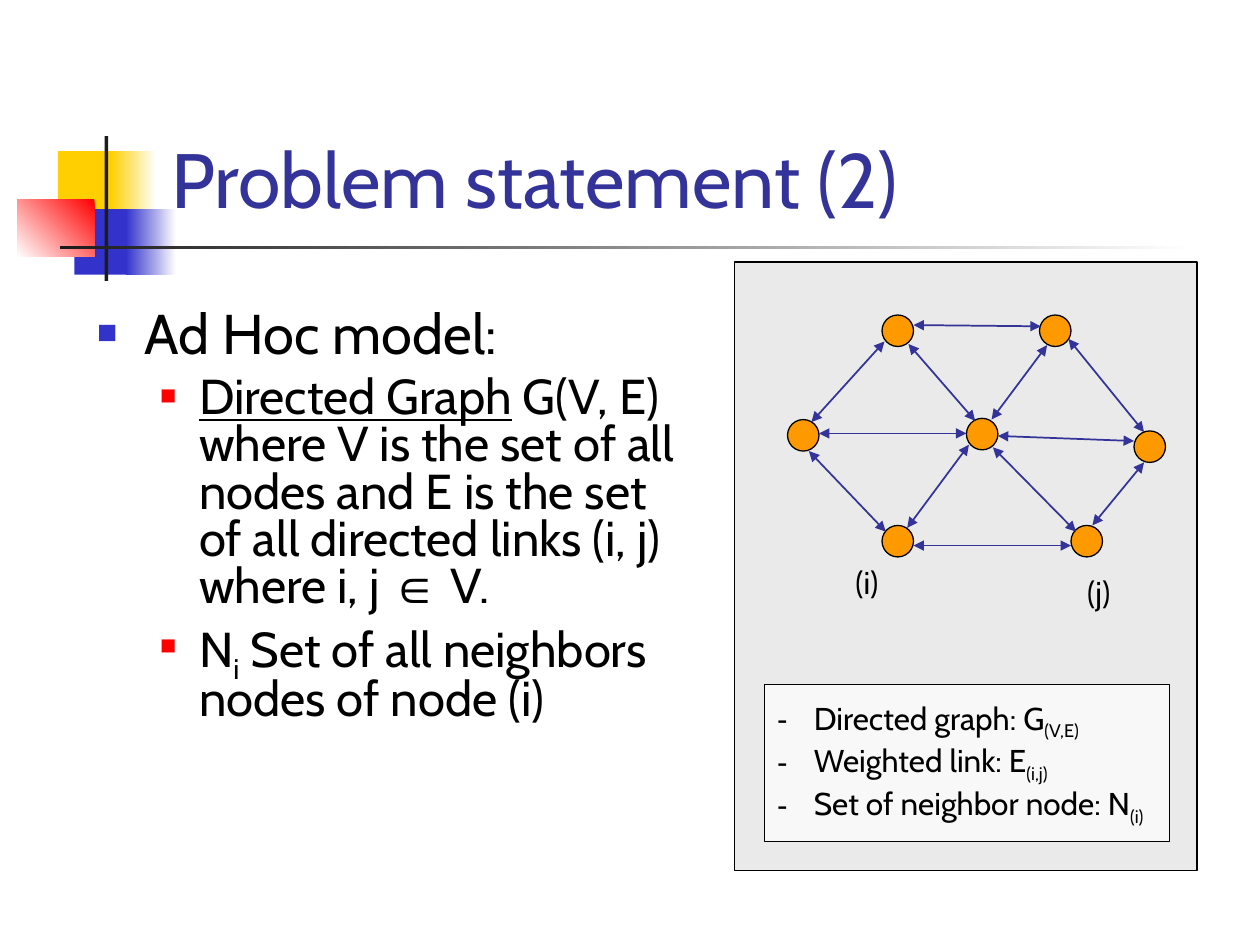
from lxml import etree
from pptx import Presentation
from pptx.dml.color import RGBColor
from pptx.enum.shapes import MSO_CONNECTOR, MSO_SHAPE
from pptx.enum.text import MSO_ANCHOR, MSO_AUTO_SIZE, PP_ALIGN
from pptx.oxml.ns import qn
from pptx.util import Inches, Pt

RECT = MSO_SHAPE.RECTANGLE
OVAL = MSO_SHAPE.OVAL
STRAIGHT = MSO_CONNECTOR.STRAIGHT
LEFT = PP_ALIGN.LEFT
TOP, MIDDLE, BOTTOM = MSO_ANCHOR.TOP, MSO_ANCHOR.MIDDLE, MSO_ANCHOR.BOTTOM
FIXED = MSO_AUTO_SIZE.NONE

FONT = "Cabin"
BLACK, WHITE, DARK = "000000", "FFFFFF", "1C1C1C"
YELLOW, BLUE, RED = "FFCF01", "3333CC", "FF0000"
NAVY, ORANGE = "333399", "FF9900"
NODE_SIZE = 0.25


def rgb(value):
    return RGBColor.from_string(value)


class SlideBuilder:
    def __init__(self, slide):
        self.s = slide

    def shape(self, kind, x, y, w, h, fill, line=None, angle=0):
        sp = self.s.shapes.add_shape(kind, Inches(x), Inches(y), Inches(w), Inches(h))
        sp.shadow.inherit = False
        if isinstance(fill, tuple):
            sp.fill.gradient()
            sp.fill.gradient_angle = angle
            for stop, color in zip(sp.fill.gradient_stops, fill):
                stop.color.rgb = rgb(color)
        else:
            sp.fill.solid()
            sp.fill.fore_color.rgb = rgb(fill)
        if line:
            sp.line.color.rgb = rgb(line)
            sp.line.width = Pt(0.75)
        else:
            sp.line.fill.background()
        return sp

    def link(self, x1, y1, x2, y2):
        c = self.s.shapes.add_connector(
            STRAIGHT, Inches(x1), Inches(y1), Inches(x2), Inches(y2))
        c.line.color.rgb = rgb(NAVY)
        c.line.width = Pt(1)
        ln = c.line._get_or_add_ln()
        for end in ("a:headEnd", "a:tailEnd"):
            etree.SubElement(ln, qn(end)).set("type", "triangle")
        etree.SubElement(c._element.spPr, qn("a:effectLst"))

    def frame(self, sp, anchor, wrap=True):
        tf = sp.text_frame
        tf.word_wrap = wrap
        tf.auto_size = FIXED
        tf.vertical_anchor = anchor
        return tf

    def place(self, sp, x, y, w, h):
        sp.left, sp.top, sp.width, sp.height = map(Inches, (x, y, w, h))

    def runs(self, p, parts, size, color=BLACK):
        p.alignment = LEFT
        for text, style in parts:
            r = p.add_run()
            r.text = text
            r.font.name = "Arial" if style == "symbol" else FONT
            r.font.size = Pt(size)
            r.font.color.rgb = rgb(color)
            if style == "underline":
                r.font.underline = True
            if style == "sub":
                r._r.get_or_add_rPr().set("baseline", "-25000")

    def bullet(self, p, char, color, percent, margin, hang):
        pPr = p._p.get_or_add_pPr()
        pPr.set("marL", str(Inches(margin)))
        pPr.set("indent", str(-Inches(hang)))
        clr = etree.SubElement(pPr, qn("a:buClr"))
        etree.SubElement(clr, qn("a:srgbClr")).set("val", color)
        etree.SubElement(pPr, qn("a:buSzPct")).set("val", str(percent * 1000))
        etree.SubElement(pPr, qn("a:buFont")).set("typeface", "Arial")
        etree.SubElement(pPr, qn("a:buChar")).set("char", char)

    def title(self, text, *box):
        sp = self.s.shapes.title
        self.place(sp, *box)
        tf = self.frame(sp, BOTTOM)
        self.runs(tf.paragraphs[0], [(text, "")], 44, NAVY)

    def body(self, items, *box):
        sp = self.s.placeholders[1]
        self.place(sp, *box)
        tf = self.frame(sp, TOP)
        for i, (level, parts) in enumerate(items):
            p = tf.paragraphs[0] if i == 0 else tf.add_paragraph()
            p.level = level
            if level == 0:
                self.bullet(p, "■", BLUE, 60, 0.38, 0.38)
            else:
                self.bullet(p, "■", RED, 55, 0.81, 0.31)
            p.line_spacing = 0.8
            p.space_before = Pt(7 if i else 0)
            self.runs(p, parts, 28 if level else 32)

    def label(self, text, x, y):
        sp = self.s.shapes.add_textbox(Inches(x), Inches(y), Inches(0.41), Inches(0.4))
        tf = self.frame(sp, TOP, wrap=False)
        self.runs(tf.paragraphs[0], [(text, "")], 18)

    def legend(self, entries, *box):
        tf = self.frame(self.shape(RECT, *box, "F8F8F8", BLACK), MIDDLE, wrap=False)
        for i, (text, index) in enumerate(entries):
            p = tf.paragraphs[0] if i == 0 else tf.add_paragraph()
            self.bullet(p, "-", BLACK, 100, 0.29, 0.29)
            self.runs(p, [(text, ""), (index, "sub")], 18)


def main():
    prs = Presentation()
    prs.slide_width, prs.slide_height = Inches(10), Inches(7.5)
    b = SlideBuilder(prs.slides.add_slide(prs.slide_layouts[1]))

    b.shape(RECT, 0.46, 1.2, 0.48, 0.52, YELLOW)
    b.shape(RECT, 0.88, 1.2, 0.36, 0.52, (WHITE, YELLOW), angle=180)
    b.shape(RECT, 0.59, 1.66, 0.46, 0.52, BLUE)
    b.shape(RECT, 1, 1.66, 0.4, 0.52, (WHITE, BLUE), angle=180)
    b.shape(RECT, 0.14, 1.58, 0.61, 0.46, (RED, WHITE), angle=225)
    b.shape(RECT, 0.83, 1.08, 0.03, 1.15, DARK)
    b.shape(RECT, 0.48, 1.95, 9, 0.03, (WHITE, DARK), angle=180)
    b.shape(RECT, 5.83, 2.08, 3.67, 4.83, "EAEAEA", BLACK)

    b.title("Problem statement (2)", 1.26, 0.23, 8.52, 1.6)
    b.body([
        (0, [("Ad Hoc model:", "")]),
        (1, [("Directed Graph", "underline"),
             (" G(V, E) where V is the set of all nodes and E is the set "
              "of all directed links (i, j) where i, j ", ""),
             ("∈", "symbol"), (" V.", "")]),
        (1, [("N", ""), ("i", "sub"),
             (" Set of all neighbors nodes of node (i)", "")]),
    ], 0.67, 2.42, 4.83, 4.5)

    nodes = [(6.25, 3.33), (7, 4.17), (7, 2.5), (7.67, 3.32),
             (8.25, 2.5), (8.5, 4.17), (9, 3.42)]
    for x, y in nodes:
        b.shape(OVAL, x, y, NODE_SIZE, NODE_SIZE, ORANGE, BLACK)

    links = [
        (6.44, 3.35, 7.02, 2.71), (6.42, 3.58, 7.03, 4.22),
        (7.25, 4.33, 8.5, 4.33), (8.67, 4.17, 9.08, 3.67),
        (8.48, 2.69, 9.08, 3.43), (7.25, 2.58, 8.26, 2.59),
        (7.21, 2.73, 7.74, 3.34), (6.5, 3.44, 7.67, 3.44),
        (7.2, 4.19, 7.69, 3.53), (7.88, 3.55, 8.54, 4.22),
        (7.92, 3.46, 9, 3.5), (7.87, 3.33, 8.31, 2.74),
    ]
    for ends in links:
        b.link(*ends)

    b.label("(i)", 6.69, 4.42)
    b.label("(j)", 8.53, 4.5)
    b.legend([
        ("Directed graph: G", "(V,E)"),
        ("Weighted link: E", "(i,j)"),
        ("Set of neighbor node: N", "(i)"),
    ], 6.07, 5.43, 3.21, 1.25)

    prs.save("out.pptx")


if __name__ == "__main__":
    main()
